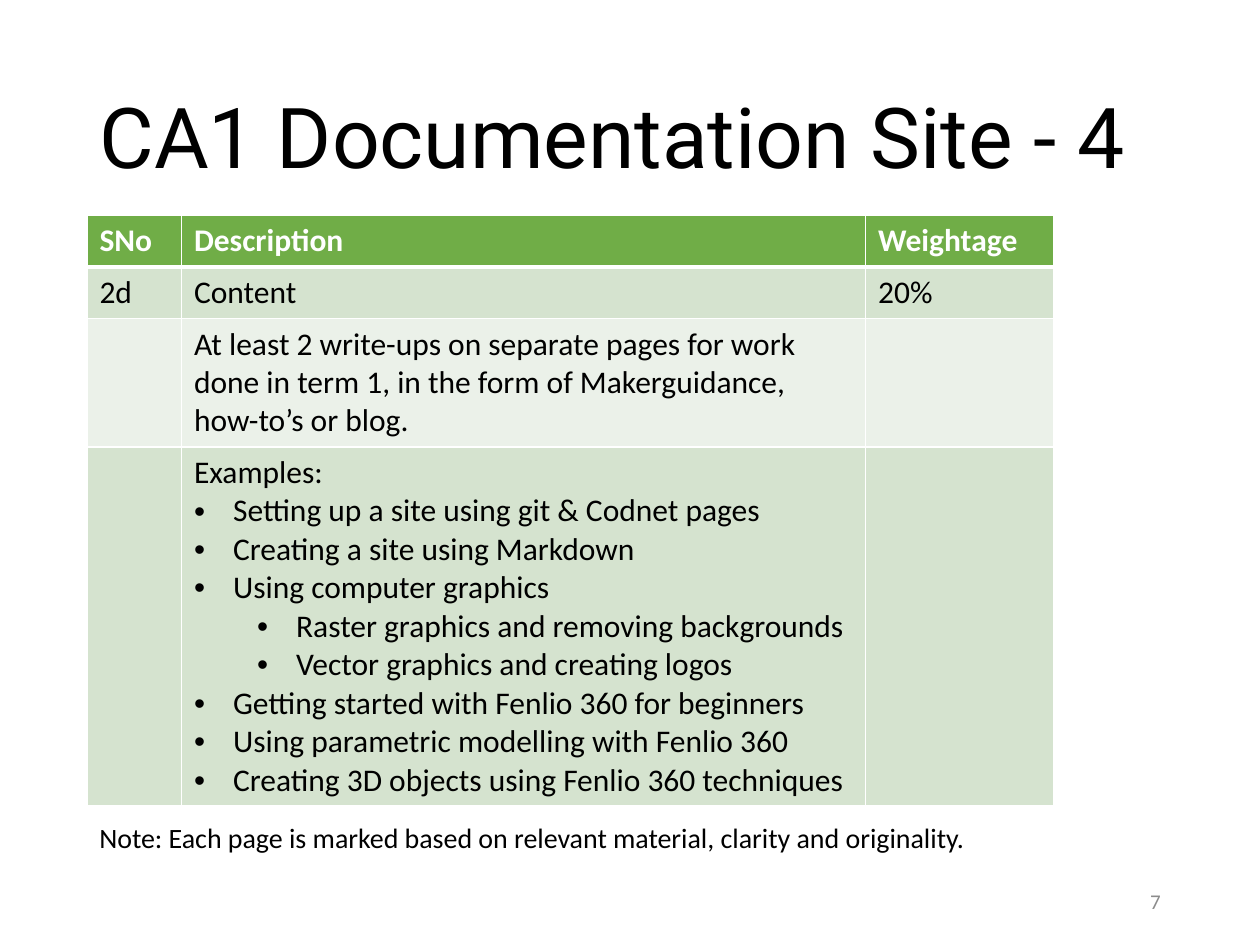
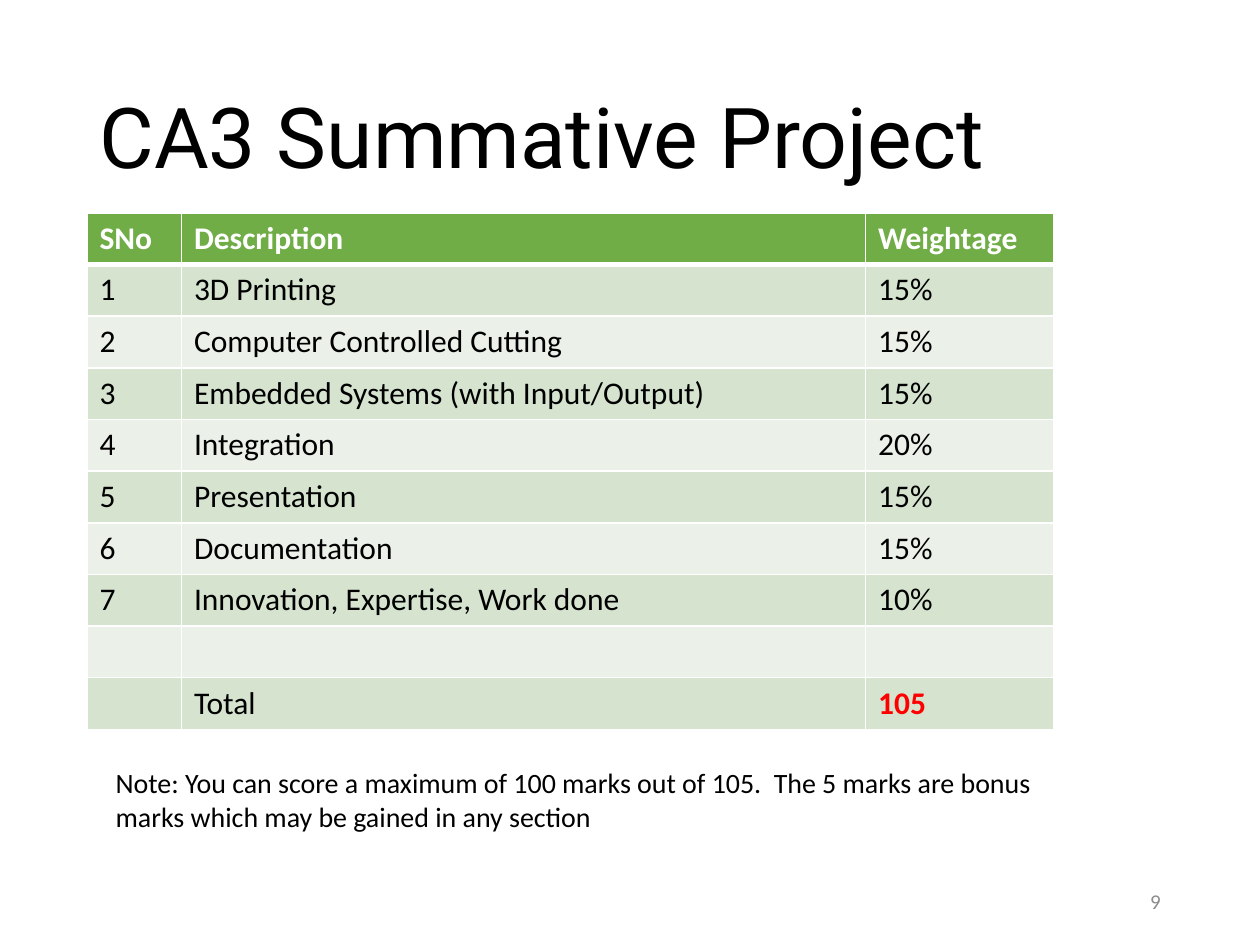
"""Builds two assessment slides, each with a weightage table and a note."""
from lxml import etree
from pptx import Presentation, util as u
from pptx.dml.color import RGBColor
from pptx.enum import text as t
from pptx.oxml import ns

COLOURS = {
    "ink": "000000",
    "paper": "FFFFFF",
    "header": "70AD47",
    "odd": "D5E3CF",
    "even": "EBF1E9",
    "alert": "FF0000",
    "number": "8C8C8C",
}
TITLE_FONT, BODY_FONT = "Roboto", "Calibri"
HEADINGS = ("SNo", "Description", "Weightage")
COLUMNS = (0.75, 5.43, 1.49)
ROW = 0.41
MARGIN = 0.69
TITLE_BOX = (MARGIN, 0.4, 8.62, 1.45)
NUMBER_BOX = (7.06, 6.95, 2.25, 0.4)
HANG = 0.31
LEVEL_STEP = 0.5

EXAMPLES = [
    (None, "Examples:"),
    (0, "Setting up a site using git & Codnet pages"),
    (0, "Creating a site using Markdown"),
    (0, "Using computer graphics"),
    (1, "Raster graphics and removing backgrounds"),
    (1, "Vector graphics and creating logos"),
    (0, "Getting started with Fenlio 360 for beginners"),
    (0, "Using parametric modelling with Fenlio 360"),
    (0, "Creating 3D objects using Fenlio 360 techniques"),
]
SLIDES = [
    {
        "title": "CA1 Documentation Site - 4",
        "number": "7",
        "table_top": 1.71,
        "rows": [
            ("2d", "Content", "20%"),
            ("", "At least 2 write-ups on separate pages for work done in term 1, "
                 "in the form of Makerguidance, how-to’s or blog.", ""),
            ("", EXAMPLES, ""),
        ],
        "heights": {2: 1.02, 3: 2.83},
        "note": "Note: Each page is marked based on relevant material, clarity and originality.",
        "note_box": (MARGIN, 6.46, 7.54, 0.37),
    },
    {
        "title": "CA3 Summative Project",
        "number": "9",
        "table_top": 1.69,
        "rows": [
            ("1", "3D Printing", "15%"),
            ("2", "Computer Controlled Cutting", "15%"),
            ("3", "Embedded Systems (with Input/Output)", "15%"),
            ("4", "Integration", "20%"),
            ("5", "Presentation", "15%"),
            ("6", "Documentation", "15%"),
            ("7", "Innovation, Expertise, Work done", "10%"),
            ("", "", ""),
            ("", "Total", "105"),
        ],
        "heights": {},
        "alert": "105",
        "note": "Note: You can score a maximum of 100 marks out of 105.  The 5 marks are bonus "
                "marks which may be gained in any section",
        "note_box": (0.82, 6.03, 7.54, 0.64),
    },
]


def rgb(name):
    return RGBColor.from_string(COLOURS[name])


def inches(box):
    return [u.Inches(length) for length in box]


def add_run(paragraph, words, size, colour="ink", bold=False, font=BODY_FONT):
    run = paragraph.add_run()
    run.text = words
    run.font.size = u.Pt(size)
    run.font.name = font
    run.font.bold = bold
    run.font.color.rgb = rgb(colour)


def add_bullet(paragraph, level):
    paragraph.level = level
    properties = paragraph._p.get_or_add_pPr()
    properties.set("marL", str(u.Inches(HANG + level * LEVEL_STEP)))
    properties.set("indent", str(-u.Inches(HANG)))
    etree.SubElement(properties, ns.qn("a:buFont"), typeface="Arial")
    etree.SubElement(properties, ns.qn("a:buChar"), char="•")


def add_borders(cell, top, bottom):
    properties = cell._tc.get_or_add_tcPr()
    for side, width in (("L", 1), ("R", 1), ("T", top), ("B", bottom)):
        line = etree.SubElement(properties, ns.qn(f"a:ln{side}"), w=str(u.Pt(width)))
        fill = etree.SubElement(line, ns.qn("a:solidFill"))
        etree.SubElement(fill, ns.qn("a:srgbClr"), val=COLOURS["paper"])


def fill_cell(cell, content, row, alert):
    header = row == 0
    add_borders(cell, 3 if row == 1 else 1, 3 if header else 1)
    cell.fill.solid()
    cell.fill.fore_color.rgb = rgb("header" if header else "odd" if row % 2 else "even")
    if not content:
        return
    lines = [(None, content)] if isinstance(content, str) else content
    frame = cell.text_frame
    for index, (level, words) in enumerate(lines):
        paragraph = frame.add_paragraph() if index else frame.paragraphs[0]
        if level is not None:
            add_bullet(paragraph, level)
        warned = words == alert
        colour = "paper" if header else "alert" if warned else "ink"
        add_run(paragraph, words, 18, colour, header or warned)


def add_weightage(slide, content):
    rows = [HEADINGS, *content["rows"]]
    heights = [content["heights"].get(row, ROW) for row in range(len(rows))]
    box = (MARGIN, content["table_top"], sum(COLUMNS), sum(heights))
    table = slide.shapes.add_table(len(rows), len(COLUMNS), *inches(box)).table
    for column, width in zip(table.columns, COLUMNS):
        column.width = u.Inches(width)
    for row, values in enumerate(rows):
        table.rows[row].height = u.Inches(heights[row])
        for column, value in enumerate(values):
            fill_cell(table.cell(row, column), value, row, content.get("alert"))


def add_label(slide, words, box, size, colour="ink"):
    frame = slide.shapes.add_textbox(*inches(box)).text_frame
    frame.word_wrap = True
    add_run(frame.paragraphs[0], words, size, colour)
    return frame


def add_title(slide, words):
    title = slide.shapes.title
    title.left, title.top, title.width, title.height = inches(TITLE_BOX)
    frame = title.text_frame
    frame.auto_size = t.MSO_AUTO_SIZE.NONE
    frame.vertical_anchor = t.MSO_ANCHOR.MIDDLE
    heading = frame.paragraphs[0]
    heading.alignment = t.PP_ALIGN.LEFT
    heading.line_spacing = 0.9
    add_run(heading, words, 48, font=TITLE_FONT)


def add_number(slide, words):
    frame = add_label(slide, words, NUMBER_BOX, 12, "number")
    frame.vertical_anchor = t.MSO_ANCHOR.MIDDLE
    frame.paragraphs[0].alignment = t.PP_ALIGN.RIGHT


deck = Presentation()
deck.slide_width, deck.slide_height = inches((10, 7.5))
for content in SLIDES:
    slide = deck.slides.add_slide(deck.slide_layouts[5])
    add_title(slide, content["title"])
    add_weightage(slide, content)
    add_number(slide, content["number"])
    note = add_label(slide, content["note"], content["note_box"], 16)
    note.auto_size = t.MSO_AUTO_SIZE.SHAPE_TO_FIT_TEXT
deck.save("out.pptx")
